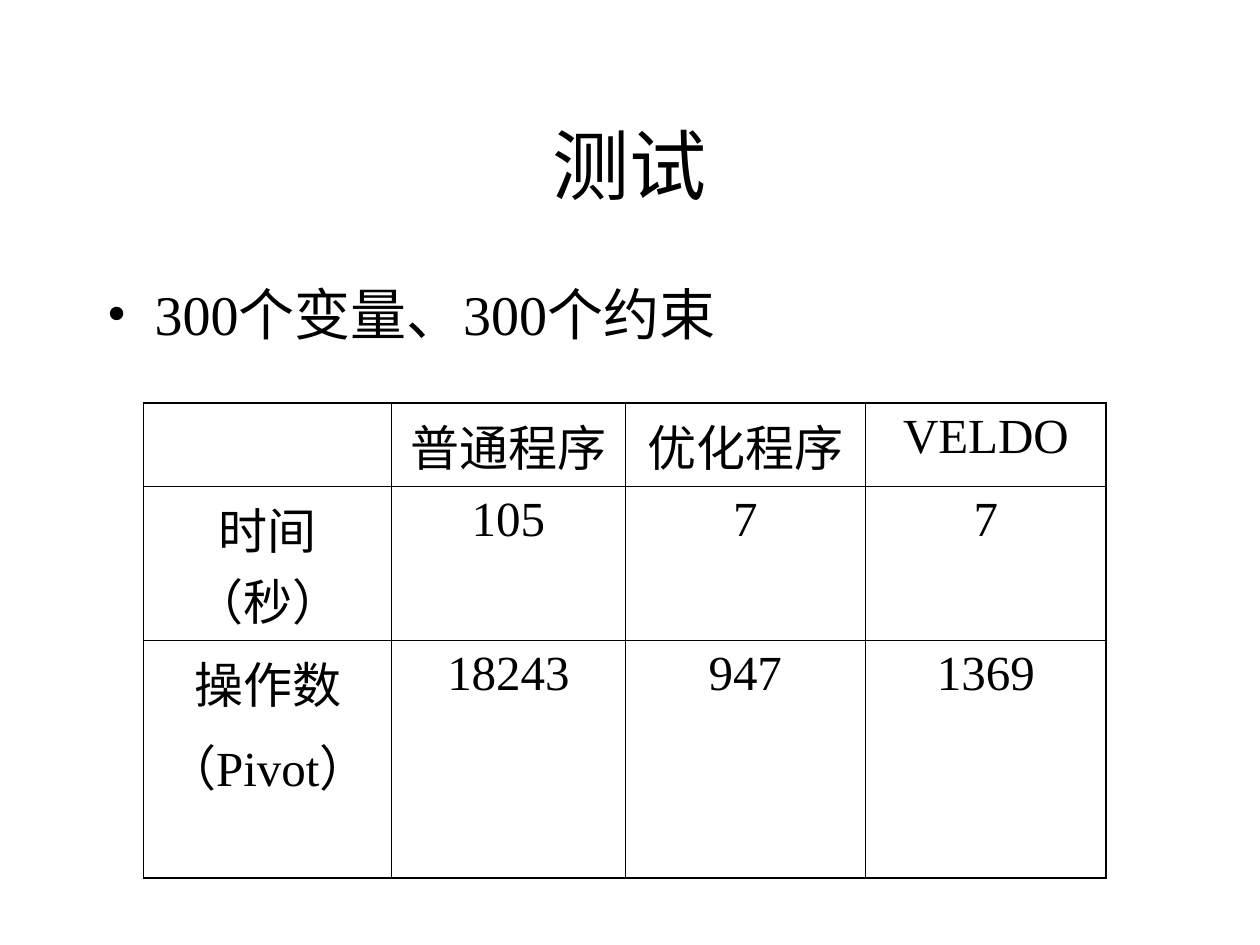
from lxml.etree import SubElement
from pptx import Presentation
from pptx.dml.color import RGBColor
from pptx.enum.text import MSO_ANCHOR, PP_ALIGN
from pptx.oxml.ns import qn
from pptx.util import Inches, Pt

COLORS = {"text": "000000", "border": "000000"}
FONT = "Times New Roman"
THIN, THICK = Pt(0.45), Pt(1.08)


def write_text(text_frame, text, size, space_before=0, alignment=PP_ALIGN.CENTER):
    text_frame.word_wrap = True
    text_frame.text = text
    for paragraph in text_frame.paragraphs:
        paragraph.alignment = alignment
        paragraph.space_before = Pt(space_before)
        for run in paragraph.runs:
            run.font.name = FONT
            run.font.size = Pt(size)
            run.font.color.rgb = RGBColor.from_string(COLORS["text"])


def add_borders(cell, widths):
    """Draw the borders ahead of the fill, in the order left, right, top, bottom."""
    properties = cell._tc.get_or_add_tcPr()
    for position, (side, width) in enumerate(zip("LRTB", widths)):
        line = SubElement(properties, qn(f"a:ln{side}"), w=str(width))
        fill = SubElement(line, qn("a:solidFill"))
        SubElement(fill, qn("a:srgbClr"), val=COLORS["border"])
        properties.insert(position, line)


presentation = Presentation()
presentation.slide_width = Inches(10)
presentation.slide_height = Inches(7.5)
slide = presentation.slides.add_slide(presentation.slide_layouts[6])

# Title
title = slide.shapes.add_textbox(Inches(0.75), Inches(0.67), Inches(8.5), Inches(1.25))
write_text(title.text_frame, "测试", 44)
title.text_frame.vertical_anchor = MSO_ANCHOR.MIDDLE

# Problem size
body = slide.shapes.add_textbox(Inches(0.75), Inches(2.17), Inches(8.5), Inches(4.5))
write_text(body.text_frame, "300个变量、300个约束", 32, 8, PP_ALIGN.LEFT)
bullet_properties = body.text_frame.paragraphs[0]._p.get_or_add_pPr()
bullet_properties.set("marL", str(Inches(0.38)))
bullet_properties.set("indent", str(-Inches(0.38)))
SubElement(bullet_properties, qn("a:buFont"), typeface=FONT)
SubElement(bullet_properties, qn("a:buChar"), char="•")

# Results table
results = [
    ["", "普通程序", "优化程序", "VELDO"],
    ["时间（秒）", "105", "7", "7"],
    ["操作数\n（Pivot）", "18243", "947", "1369"],
]
column_widths = [1.97, 1.85, 1.91, 1.91]
row_heights = [0.66, 1.22, 1.89]
last_row, last_column = len(row_heights) - 1, len(column_widths) - 1

table = slide.shapes.add_table(
    len(row_heights), len(column_widths), Inches(1.14), Inches(3.2),
    Inches(sum(column_widths)), Inches(sum(row_heights)),
).table
table.first_row = False
table.horz_banding = False
for column, width in zip(table.columns, column_widths):
    column.width = Inches(width)
for row, height in zip(table.rows, row_heights):
    row.height = Inches(height)

for row_index, values in enumerate(results):
    for column_index, value in enumerate(values):
        cell = table.cell(row_index, column_index)
        cell.fill.background()
        write_text(cell.text_frame, value, 28, 7)
        on_edge = [
            column_index == 0,
            column_index == last_column,
            row_index == 0,
            row_index == last_row,
        ]
        add_borders(cell, [THICK if edge else THIN for edge in on_edge])

presentation.save("out.pptx")
